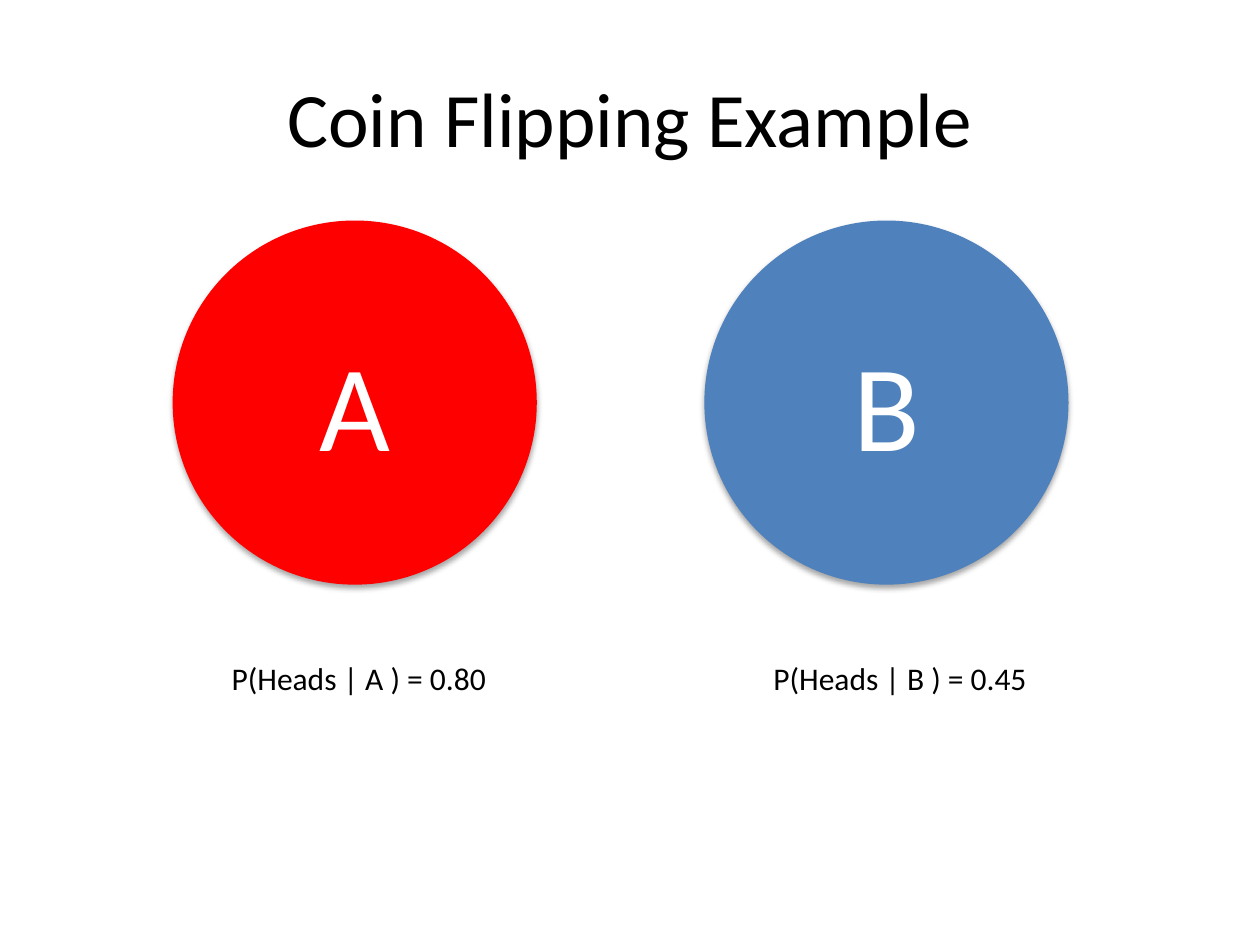
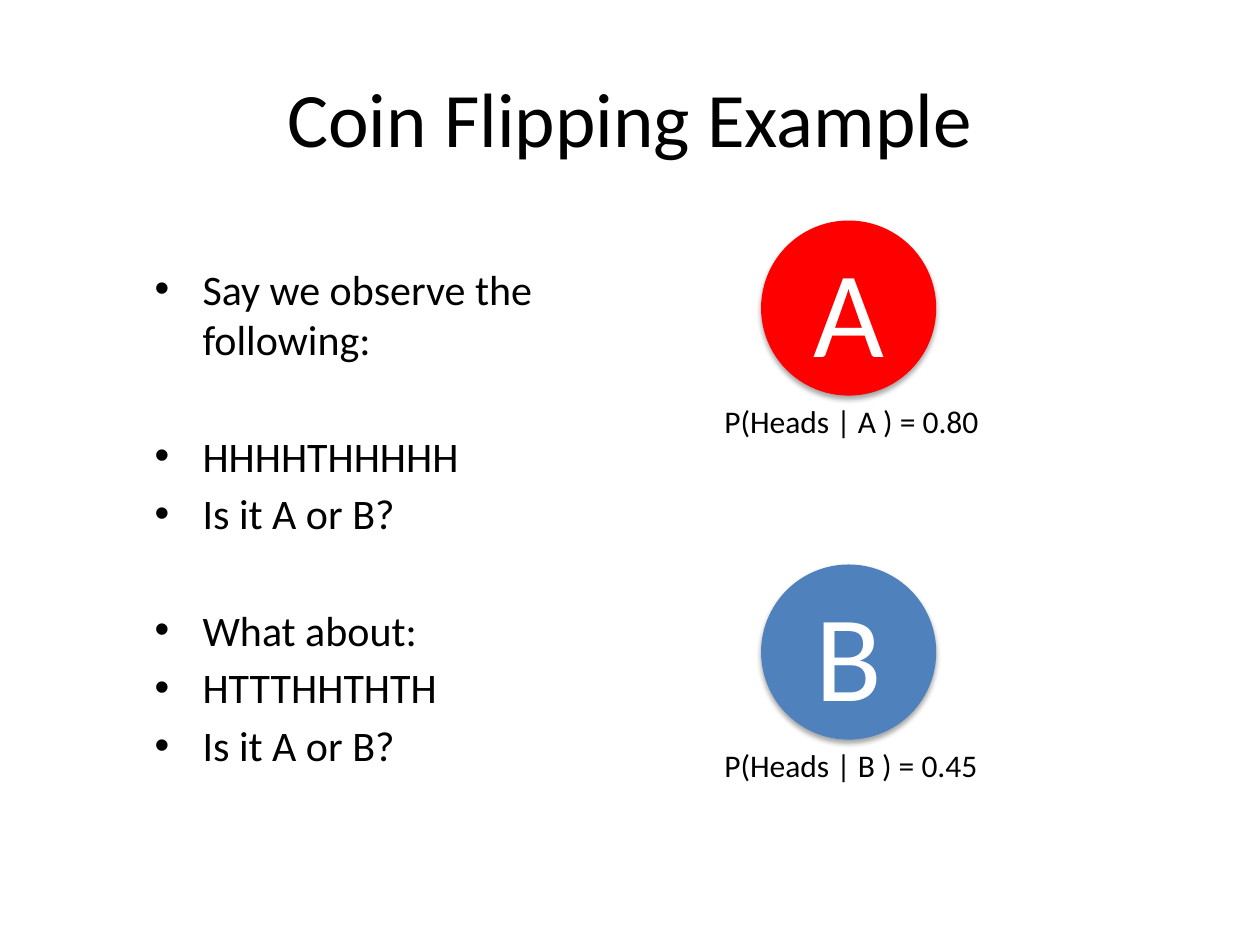
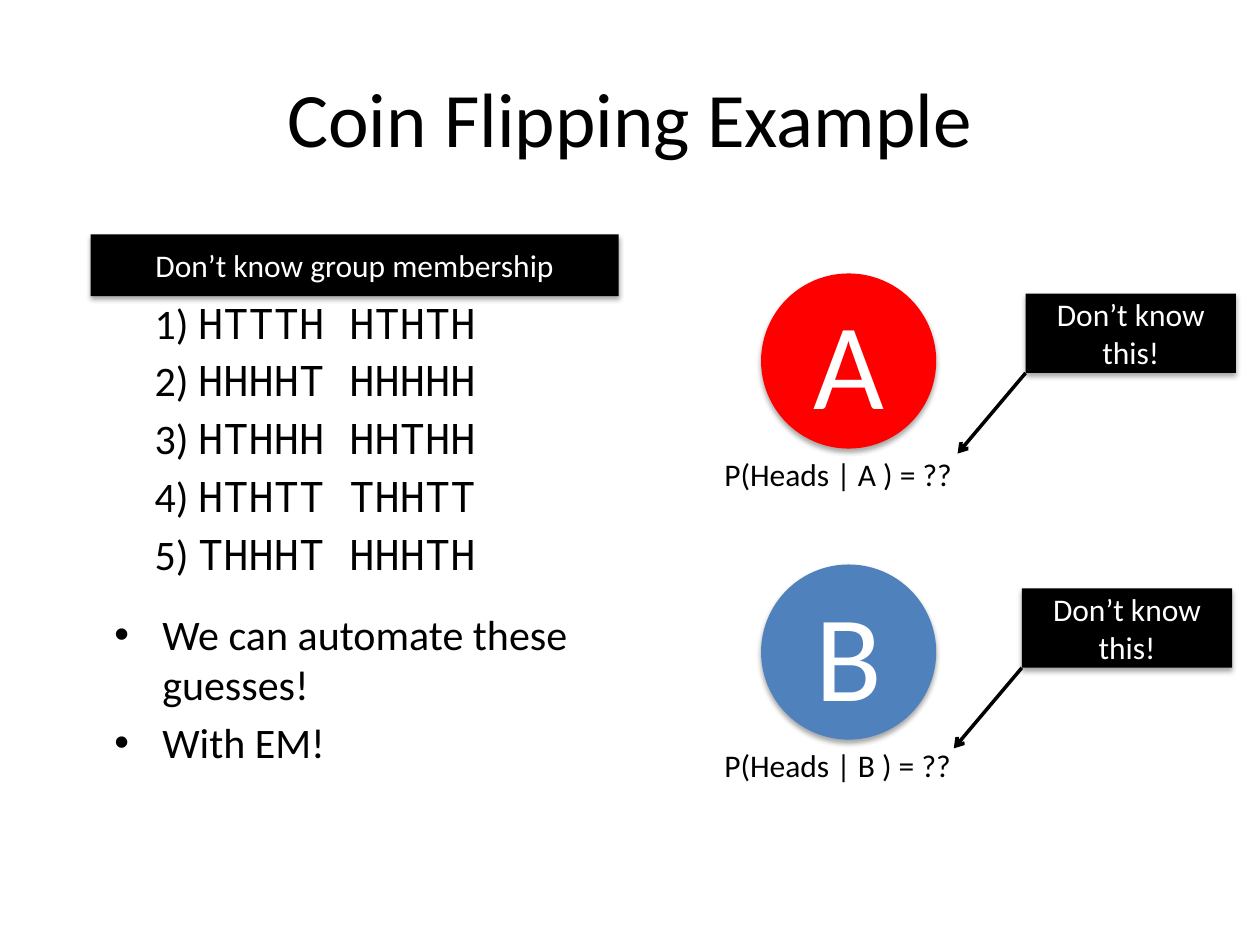
from lxml.etree import SubElement
from pptx import Presentation
from pptx.dml.color import RGBColor
from pptx.enum.shapes import MSO_CONNECTOR, MSO_SHAPE
from pptx.enum.text import MSO_ANCHOR, PP_ALIGN
from pptx.oxml.ns import qn
from pptx.util import Inches, Pt

COLORS = {"ink": "000000", "paper": "FFFFFF", "A": "FF0000", "B": "4F81BD"}
SANS, MONO = "Calibri", "Noto Sans Mono"
COLS, ROWS = 100, 75
BODY_SIZE, LABEL_SIZE = 24, 18
PARA_GAP, SECTION_GAP = 4.2, 37.7


def rgb(name):
    return RGBColor.from_string(COLORS[name])


class Deck:
    """Holds the style and the current slide; lengths are grid columns and rows."""

    def __init__(self):
        self.prs = Presentation()
        self.prs.slide_width, self.prs.slide_height = Inches(10), Inches(7.5)

    def new_slide(self, title):
        self.s = self.prs.slides.add_slide(self.prs.slide_layouts[6])
        tf = self.text_box((5, 3, 90, 12.5), vertical_anchor=MSO_ANCHOR.MIDDLE)
        self.add_text(tf.paragraphs[0], title, 44, alignment=PP_ALIGN.CENTER)

    def grid(self, *lengths):
        units = (self.prs.slide_width / COLS, self.prs.slide_height / ROWS)
        return [round(v * units[i % 2]) for i, v in enumerate(lengths)]

    def text_box(self, box, **frame):
        tf = self.s.shapes.add_textbox(*self.grid(*box)).text_frame
        for name, value in {"word_wrap": True, **frame}.items():
            setattr(tf, name, value)
        return tf

    def add_text(self, p, text, size, color="ink", font=SANS, **para):
        for name, value in para.items():
            setattr(p, name, value)
        r = p.add_run()
        r.text = text
        for name, value in {"size": Pt(size), "name": font}.items():
            setattr(r.font, name, value)
        r.font.color.rgb = rgb(color)

    def paragraphs(self, tf, count):
        return [tf.paragraphs[0]] + [tf.add_paragraph() for _ in range(count - 1)]

    def shape(self, kind, box, fill, text, size):
        sp = self.s.shapes.add_shape(kind, *self.grid(*box))
        sp.fill.solid()
        sp.fill.fore_color.rgb = rgb(fill)
        sp.line.fill.background()
        self.soft_shadow(sp)
        self.add_text(sp.text_frame.paragraphs[0], text, size, "paper",
                      alignment=PP_ALIGN.CENTER)

    def soft_shadow(self, sp):
        sp.shadow.inherit = False
        effects = sp._element.spPr.find(qn("a:effectLst"))
        shadow = SubElement(effects, qn("a:outerShdw"), blurRad=str(Pt(3.1)),
                            dist=str(Pt(1.8)), dir="5400000", rotWithShape="0")
        color = SubElement(shadow, qn("a:srgbClr"), val=COLORS["ink"])
        SubElement(color, qn("a:alpha"), val="35000")

    def coin(self, name, x, y, size, chance, label_x, label_y):
        self.shape(MSO_SHAPE.OVAL, (x, y, size, size), name, name, 70)
        tf = self.text_box((label_x, label_y, 22.4, 4), word_wrap=False)
        self.add_text(tf.paragraphs[0], f"P(Heads | {name} ) = {chance}", LABEL_SIZE)

    def bullets(self, box, items):
        """Each item is its text and the space before it."""
        tf = self.text_box(box)
        for p, (text, gap) in zip(self.paragraphs(tf, len(items)), items):
            self.add_text(p, text, BODY_SIZE, space_before=Pt(gap))
            pPr = p._p.get_or_add_pPr()
            pPr.set("marL", str(Inches(0.38)))
            pPr.set("indent", str(Inches(-0.38)))
            SubElement(pPr, qn("a:buFont"), typeface="Arial")
            SubElement(pPr, qn("a:buChar"), char="•")

    def trials(self, box, rows):
        tf = self.text_box(box)
        for i, (p, row) in enumerate(zip(self.paragraphs(tf, len(rows)), rows), 1):
            self.add_text(p, f"{i}) ", BODY_SIZE, space_before=Pt(PARA_GAP))
            self.add_text(p, row, BODY_SIZE, font=MONO)

    def banner(self, box, text):
        self.shape(MSO_SHAPE.RECTANGLE, box, "ink", text, LABEL_SIZE)

    def callout(self, x, y, text):
        """A banner with an arrow from its lower left corner."""
        height = 6.3
        self.banner((x, y, 16.7, height), text)
        bottom = y + height
        arrow = self.s.shapes.add_connector(
            MSO_CONNECTOR.STRAIGHT, *self.grid(x, bottom, x - 5.4, bottom + 6.4))
        arrow.line.color.rgb = rgb("ink")
        arrow.line.width = Pt(2)
        spPr = arrow._element.spPr
        SubElement(spPr.find(qn("a:ln")), qn("a:tailEnd"), type="arrow")
        SubElement(spPr, qn("a:effectLst"))


def main():
    deck = Deck()
    title = "Coin Flipping Example"
    chances = {"A": "0.80", "B": "0.45"}

    # Two large coins side by side
    deck.new_slide(title)
    for name, x, label_x in (("A", 13.7, 17.4), ("B", 55.9, 60.4)):
        deck.coin(name, x, 17.5, 28.9, chances[name], label_x, 51.8)

    # Observed flips beside two small coins
    small_x, small, label_x = 60.4, 13.9, 56.5
    deck.new_slide(title)
    for name, y in (("A", 17.5), ("B", 44.8)):
        deck.coin(name, small_x, y, small, chances[name], label_x, y + small)
    deck.bullets((11.3, 20.4, 37.7, 45.3), [
        ("Say we observe the following:", PARA_GAP),
        ("HHHHTHHHHH", SECTION_GAP),
        ("Is it A or B?", PARA_GAP),
        ("What about:", SECTION_GAP),
        ("HTTTHHTHTH", PARA_GAP),
        ("Is it A or B?", PARA_GAP),
    ])

    # Trials with unknown coins and unknown chances
    deck.new_slide(title)
    for name, y in (("A", 21.7), ("B", 44.8)):
        deck.coin(name, small_x, y, small, "??", label_x, y + small)
    deck.bullets((8.1, 47.8, 45.2, 22.1), [
        ("We can automate these guesses!", PARA_GAP),
        ("With EM!", PARA_GAP),
    ])
    deck.trials((11.3, 23.1, 37.7, 24.7), [
        "HTTTH HTHTH", "HHHHT HHHHH", "HTHHH HHTHH", "HTHTT THHTT", "THHHT HHHTH"])
    for x, y in ((81.4, 23.3), (81.1, 46.7)):
        deck.callout(x, y, "Don’t know this!")
    deck.banner((7.2, 18.6, 41.9, 4.9), "Don’t know group membership")

    deck.prs.save("out.pptx")


if __name__ == "__main__":
    main()
